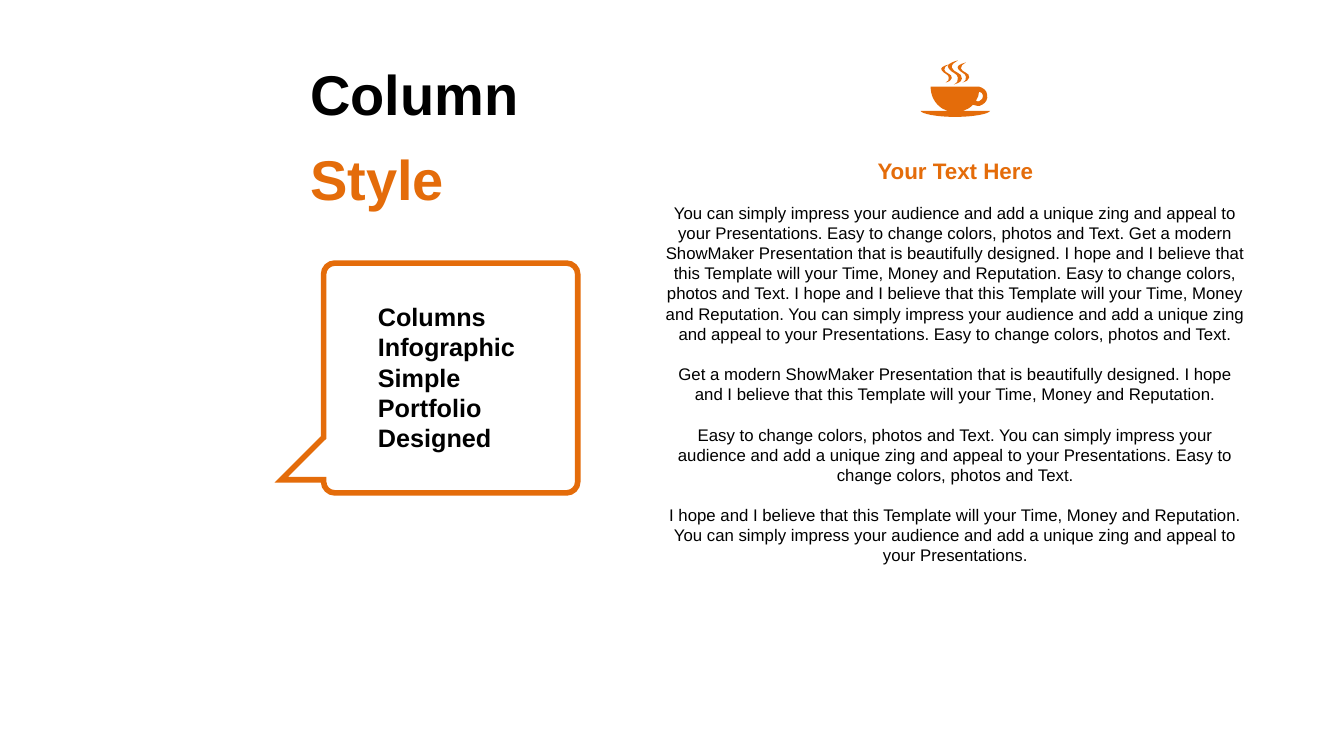
"""Build the column style slide with a speech callout, a coffee icon and body text."""
from dataclasses import dataclass

from lxml import etree
from pptx import Presentation
from pptx.dml.color import RGBColor
from pptx.enum import shapes, text
from pptx.oxml import ns
from pptx.util import Inches, Pt

ORANGE, BLACK, WHITE = "E46C0A", "000000", "FFFFFF"
FONT = "Arial"


@dataclass(frozen=True)
class TextBlock:
    left: float
    top: float
    width: float
    height: float
    paragraphs: list[str]
    size: int
    colors: list[str]
    bold: bool = True
    centered: bool = False
    anchor: text.MSO_ANCHOR = text.MSO_ANCHOR.TOP
    line_spacing: float = 1.0
    space_before: float = 0


@dataclass(frozen=True)
class Contour:
    """Hold a start point and segments: two numbers for a line, six for a curve."""
    start: tuple[float, float]
    segments: list[tuple[float, ...]]

    def placed(self, left: float, top: float, scale: float) -> "Contour":
        def move(values: tuple[float, ...]) -> tuple[float, ...]:
            return tuple((top if i % 2 else left) + scale * v for i, v in enumerate(values))
        return Contour(move(self.start), [move(seg) for seg in self.segments])


TEXTS = [
    TextBlock(2.98, 0.57, 2.57, 1.49, ["Column", "Style"], 40, [BLACK, ORANGE],
              anchor=text.MSO_ANCHOR.MIDDLE, line_spacing=1.1, space_before=8),
    TextBlock(3.65, 2.94, 1.81, 1.62,
              ["Columns Infographic Simple Portfolio Designed"], 18, [BLACK]),
    TextBlock(6.48, 1.96, 5.99, 3.74, [
        "You can simply impress your audience and add a unique zing and appeal to your "
        "Presentations. Easy to change colors, photos and Text. Get a modern ShowMaker "
        "Presentation that is beautifully designed. I hope and I believe that this Template "
        "will your Time, Money and Reputation. Easy to change colors, photos and Text. I hope "
        "and I believe that this Template will your Time, Money and Reputation. You can simply "
        "impress your audience and add a unique zing and appeal to your Presentations. Easy to "
        "change colors, photos and Text.",
        "Get a modern ShowMaker Presentation that is beautifully designed. I hope and I "
        "believe that this Template will your Time, Money and Reputation.",
        "Easy to change colors, photos and Text. You can simply impress your audience and add "
        "a unique zing and appeal to your Presentations. Easy to change colors, photos and Text.",
        "I hope and I believe that this Template will your Time, Money and Reputation. You can "
        "simply impress your audience and add a unique zing and appeal to your Presentations.",
    ], 12, [BLACK] * 4, bold=False, centered=True, space_before=14.4),
    TextBlock(6.48, 1.51, 5.99, 0.37, ["Your Text Here"], 16, [ORANGE], centered=True),
]

CALLOUT = Contour((3.32, 4.89), [
    (5.62, 4.89), (5.68, 4.89, 5.73, 4.84, 5.73, 4.78),
    (5.73, 2.72), (5.73, 2.66, 5.68, 2.61, 5.62, 2.61),
    (3.32, 2.61), (3.26, 2.61, 3.21, 2.66, 3.21, 2.72),
    (3.21, 4.34), (2.79, 4.76), (3.21, 4.76), (3.21, 4.78),
    (3.21, 4.84, 3.26, 4.89, 3.32, 4.89),
])
HANDLE_HOLE = Contour((9.71, 0.91), [
    (9.71, 0.94, 9.7, 0.97, 9.68, 1), (9.69, 1.01, 9.71, 1.01, 9.72, 1),
    (9.74, 0.99, 9.75, 0.97, 9.75, 0.95), (9.75, 0.93, 9.73, 0.91, 9.71, 0.91),
])
CUP = Contour((9.71, 0.86), [
    (9.75, 0.87, 9.79, 0.9, 9.79, 0.94), (9.8, 0.98, 9.78, 1.02, 9.74, 1.04),
    (9.71, 1.06, 9.68, 1.05, 9.65, 1.04), (9.64, 1.05, 9.62, 1.07, 9.6, 1.08),
    (9.58, 1.09, 9.57, 1.09, 9.55, 1.1), (9.82, 1.1),
    (9.81, 1.13, 9.66, 1.16, 9.47, 1.16), (9.29, 1.16, 9.14, 1.13, 9.13, 1.1),
    (9.4, 1.1), (9.38, 1.09, 9.37, 1.09, 9.35, 1.08),
    (9.27, 1.03, 9.23, 0.95, 9.23, 0.86),
])
WISP = Contour((0, 0), [
    (-0.04, 0.03, -0.06, 0.03, -0.06, 0.07), (-0.05, 0.12, 0.05, 0.12, 0.04, 0.18),
    (0.03, 0.22, 0.01, 0.22, -0.04, 0.24), (0, 0.22, 0, 0.2, 0, 0.17),
    (0, 0.13, -0.07, 0.12, -0.09, 0.08), (-0.12, 0.05, -0.08, 0.02, 0, 0),
])
WISP_PLACES = [(9.41, 0.64, 0.75), (9.58, 0.62, 0.83), (9.5, 0.6, 1)]


def rgb(color: str) -> RGBColor:
    return RGBColor.from_string(color)


def add_outline(slide, contours: list[Contour]):
    """Draw closed contours, given in inches, as one freeform with true curves."""
    builder = slide.shapes.build_freeform(*map(Inches, contours[0].start))
    for i, contour in enumerate(contours):
        if i:
            builder.move_to(*map(Inches, contour.start))
        ends = [(Inches(seg[-2]), Inches(seg[-1])) for seg in contour.segments]
        builder.add_line_segments(ends, close=False)
        builder.add_line_segments([], close=True)
    s = builder.convert_to_shape()
    s.shadow.inherit = False
    segments = [seg for contour in contours for seg in contour.segments]
    lines = list(s._element.iter(ns.qn("a:lnTo")))
    for line, seg in zip(lines, segments):
        if len(seg) == 6:
            curve = etree.Element(ns.qn("a:cubicBezTo"))
            for x, y in zip(seg[::2], seg[1::2]):
                etree.SubElement(curve, ns.qn("a:pt"), x=str(Inches(x) - s.left),
                                 y=str(Inches(y) - s.top))
            line.getparent().replace(line, curve)
    return s


def add_panel(slide) -> None:
    """Add the translucent white panel behind the right column."""
    s = slide.shapes.add_shape(shapes.MSO_SHAPE.ROUNDED_RECTANGLE, Inches(6.22),
                               Inches(0.28), Inches(6.74), Inches(5.8))
    s.adjustments[0] = 0.032
    s.shadow.inherit = False
    s.fill.solid()
    s.fill.fore_color.rgb = rgb(WHITE)
    color = s.fill._xPr.find(".//" + ns.qn("a:srgbClr"))
    etree.SubElement(color, ns.qn("a:alpha"), val="60000")
    s.line.fill.background()


def add_callout(slide) -> None:
    """Add the orange speech callout with sharp tail corners."""
    s = add_outline(slide, [CALLOUT])
    s.fill.background()
    s.line.color.rgb = rgb(ORANGE)
    s.line.width = Pt(4)
    etree.SubElement(s.line._get_or_add_ln(), ns.qn("a:miter"), lim="800000")


def add_coffee(slide) -> None:
    """Add the steaming coffee cup icon."""
    wisps = [WISP.placed(*place) for place in WISP_PLACES]
    s = add_outline(slide, [HANDLE_HOLE, CUP, *wisps])
    s.fill.solid()
    s.fill.fore_color.rgb = rgb(ORANGE)
    s.line.fill.background()


def add_text(slide, block: TextBlock) -> None:
    """Add one text box with its paragraphs."""
    s = slide.shapes.add_textbox(Inches(block.left), Inches(block.top),
                                 Inches(block.width), Inches(block.height))
    tf = s.text_frame
    tf.word_wrap = True
    tf.vertical_anchor = block.anchor
    for i, (words, color) in enumerate(zip(block.paragraphs, block.colors)):
        p = tf.add_paragraph() if i else tf.paragraphs[0]
        p.text = words
        p.alignment = text.PP_ALIGN.CENTER if block.centered else text.PP_ALIGN.LEFT
        p.line_spacing = block.line_spacing
        if i:
            p.space_before = Pt(block.space_before)
        p.font.name = FONT
        p.font.size = Pt(block.size)
        p.font.bold = block.bold
        p.font.color.rgb = rgb(color)


def main() -> None:
    prs = Presentation()
    prs.slide_width, prs.slide_height = Inches(13.33), Inches(7.5)
    slide = prs.slides.add_slide(prs.slide_layouts[6])
    add_panel(slide)
    add_callout(slide)
    for block in TEXTS:
        add_text(slide, block)
    add_coffee(slide)
    prs.save("out.pptx")


if __name__ == "__main__":
    main()
